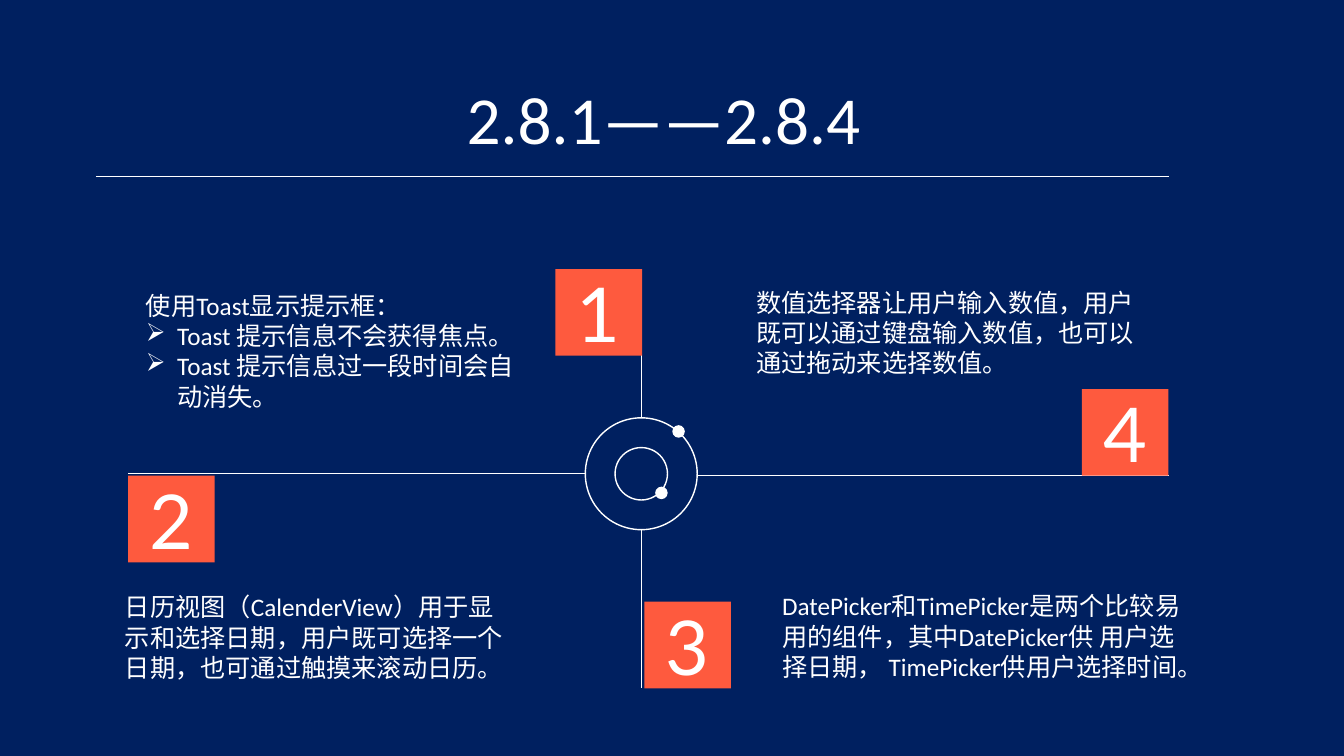
import pptx
import pptx.util
import pptx.dml.color
import pptx.enum.shapes
import pptx.enum.text
from lxml import etree

Inches, Pt = pptx.util.Inches, pptx.util.Pt
KIND = pptx.enum.shapes.MSO_SHAPE
NAVY, CORAL, WHITE = "002060", "FE5A3E", "FFFFFF"

TITLE = "2.8.1——2.8.4"
# left, top, width, height, paragraphs as (bulleted, text)
NOTES = [
    (1.35, 2.83, 3.97, 1.31, [
        (False, "使用Toast显示提示框："),
        (True, "Toast 提示信息不会获得焦点。"),
        (True, "Toast 提示信息过一段时间会自动消失。")]),
    (1.14, 5.82, 3.97, 1.01, [
        (False, "日历视图（CalenderView）用于显示和选择日期，用户既可选择一个日期，也可通过触摸来滚动日历。")]),
    (7.66, 5.81, 4.17, 1.01, [
        (False, "DatePicker和TimePicker是两个比较易用的组件，其中DatePicker供 用户选择日期， TimePicker供用户选择时间。")]),
    (7.4, 2.8, 3.98, 1.01, [
        (False, "数值选择器让用户输入数值，用户既可以通过键盘输入数值，也可以通过拖动来选择数值。")]),
]
TILE = 0.86
TILES = [(5.51, 2.67), (1.27, 4.72), (6.39, 5.97), (10.73, 3.86)]
MIDX, MIDY = 6.36, 4.7
RULES = [
    (0.95, 1.75, 11.59, 1.75),
    (1.27, MIDY, 5.81, MIDY),
    (MIDX, 2.67, MIDX, 4.15),
    (6.92, 4.72, 11.59, 4.72),
    (MIDX, 5.26, MIDX, 6.83),
]
# centre x, centre y, diameter, fill
RINGS = [
    (MIDX, MIDY, 1.11, None),
    (MIDX, MIDY, 0.52, None),
    (6.73, 4.28, 0.11, WHITE),
    (6.56, 4.89, 0.11, WHITE),
]


def color(code):
    return pptx.dml.color.RGBColor.from_string(code)


def add_run(para, text, size, font="Calibri"):
    run = para.add_run()
    run.text = text
    run.font.size = Pt(size)
    run.font.name = font
    run.font.color.rgb = color(WHITE)


def add_bullet(para):
    props = para._p.get_or_add_pPr()
    props.set("marL", str(Inches(0.31)))
    props.set("indent", str(-Inches(0.31)))
    mark = etree.SubElement(props, pptx.oxml.ns.qn("a:buChar"))
    mark.set("char", "➢")


def add_text(left, top, wide, high, paras, size, wrap=True):
    box = slide.shapes.add_textbox(*map(Inches, (left, top, wide, high)))
    frame = box.text_frame
    frame.word_wrap = wrap
    frame.auto_size = pptx.enum.text.MSO_AUTO_SIZE.SHAPE_TO_FIT_TEXT
    for i, (dotted, text) in enumerate(paras):
        para = frame.add_paragraph() if i else frame.paragraphs[0]
        if dotted:
            add_bullet(para)
        add_run(para, text, size)


def add_rule(*ends):
    rule = slide.shapes.add_connector(
        pptx.enum.shapes.MSO_CONNECTOR.STRAIGHT, *map(Inches, ends))
    rule.line.color.rgb = color(WHITE)
    rule.line.width = Pt(0.5)
    etree.SubElement(rule._element.spPr, pptx.oxml.ns.qn("a:effectLst"))


def add_shape(kind, left, top, side, fill, edge):
    shape = slide.shapes.add_shape(kind, *map(Inches, (left, top, side, side)))
    shape.shadow.inherit = False
    if fill:
        shape.fill.solid()
        shape.fill.fore_color.rgb = color(fill)
    else:
        shape.fill.background()
    if edge:
        shape.line.color.rgb = color(edge)
        shape.line.width = Pt(1)
    else:
        shape.line.fill.background()
    return shape


deck = pptx.Presentation()
deck.slide_width, deck.slide_height = Inches(13.33), Inches(7.5)
slide = deck.slides.add_slide(deck.slide_layouts[6])
slide.background.fill.solid()
slide.background.fill.fore_color.rgb = color(NAVY)

add_text(4.53, 0.72, 4.15, 0.91, [(False, TITLE)], 48, wrap=False)
for ends in RULES:
    add_rule(*ends)
for num, (left, top) in enumerate(TILES, 1):
    tile = add_shape(KIND.RECTANGLE, left, top, TILE, CORAL, None)
    frame = tile.text_frame
    frame.vertical_anchor = pptx.enum.text.MSO_ANCHOR.MIDDLE
    para = frame.paragraphs[0]
    para.alignment = pptx.enum.text.PP_ALIGN.CENTER
    add_run(para, str(num), 54, "Lato")
for left, top, wide, high, paras in NOTES:
    add_text(left, top, wide, high, paras, 18)
for x, y, size, fill in RINGS:
    add_shape(KIND.OVAL, x - size / 2, y - size / 2, size, fill, WHITE)

deck.save("out.pptx")
